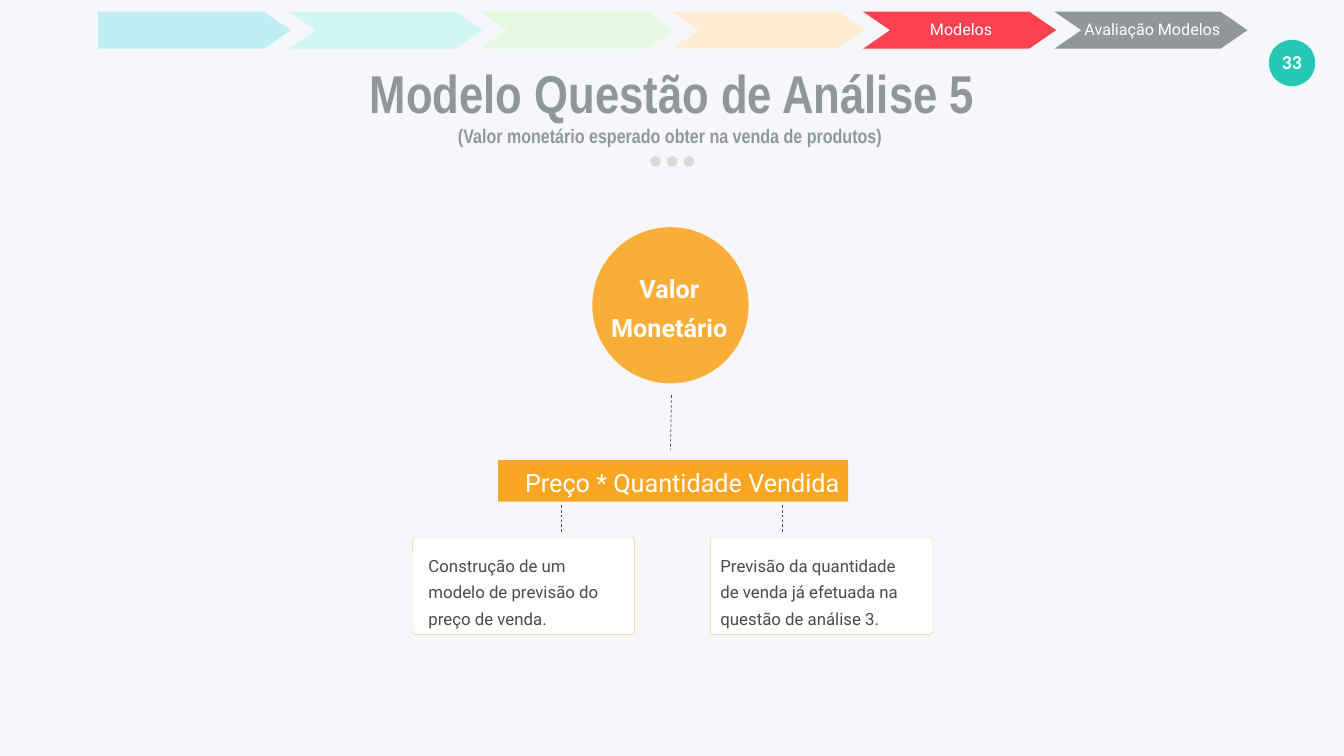
from dataclasses import dataclass

from lxml import etree
from pptx import Presentation
from pptx.dml.color import RGBColor
from pptx.enum.dml import MSO_LINE
from pptx.enum.shapes import MSO_CONNECTOR, MSO_SHAPE
from pptx.enum.text import MSO_ANCHOR, PP_ALIGN
from pptx.oxml.ns import qn
from pptx.util import Pt

LEFT, CENTER = PP_ALIGN.LEFT, PP_ALIGN.CENTER
TOP, MIDDLE = MSO_ANCHOR.TOP, MSO_ANCHOR.MIDDLE
OVAL, ROUNDED, RECTANGLE = MSO_SHAPE.OVAL, MSO_SHAPE.ROUNDED_RECTANGLE, MSO_SHAPE.RECTANGLE
STRAIGHT, DASH = MSO_CONNECTOR.STRAIGHT, MSO_LINE.DASH


@dataclass(frozen=True)
class Theme:
    background: str = "F6F7FA"
    white: str = "FFFFFF"
    teal: str = "25C8B4"
    orange: str = "FBA622"
    red: str = "F94151"
    gray: str = "91969B"
    dark: str = "474B4F"
    dot: str = "D9D9D9"
    faded_steps: tuple = ("BEEEF4", "D1F6F2", "E6F8E0", "FEEDD3")
    body_font: str = "Roboto"
    title_font: str = "Arial Narrow"
    number_font: str = "Calibri"
    title_size: int = 76
    subtitle_size: int = 28
    number_size: int = 28
    label_size: int = 36
    body_size: int = 24
    step_size: int = 23


THEME = Theme()

STEPS = [("", fill) for fill in THEME.faded_steps] + [
    ("Modelos", THEME.red),
    ("Avaliação Modelos", THEME.gray),
]

CARDS = [
    (589, 597.6, 299, "Construção de um modelo de previsão do preço de venda."),
    (1014.5, 1014.5, 307.5,
     "Previsão da quantidade de venda já efetuada na questão de análise 3."),
]

CONNECTORS = [
    (959, 564.5, 957.6, 642.2),
    (801.4, 721.4, 801.4, 762.5),
    (1117.4, 721.4, 1117.4, 762.5),
]


def color(value):
    return RGBColor.from_string(value)


def paint(shape, fill, line=None, opacity=None):
    shape.shadow.inherit = False
    shape.fill.solid()
    shape.fill.fore_color.rgb = color(fill)
    if opacity:
        tone = shape.fill._xPr.find(".//" + qn("a:srgbClr"))
        etree.SubElement(tone, qn("a:alpha"), val=str(opacity * 1000))
    if line:
        shape.line.color.rgb = color(line)
        shape.line.width = Pt(0.25)
    else:
        shape.line.fill.background()


def write(shape, lines, size, font=THEME.body_font, ink=THEME.white, bold=False,
          align=CENTER, anchor=TOP, spacing=1.0, insets=(14.4, 7.2, 14.4, 7.2)):
    frame = shape.text_frame
    frame.word_wrap = True
    frame.vertical_anchor = anchor
    (frame.margin_left, frame.margin_top,
     frame.margin_right, frame.margin_bottom) = map(Pt, insets)
    sizes = size if isinstance(size, tuple) else (size,) * len(lines)
    for index, (line, points) in enumerate(zip(lines, sizes)):
        para = frame.paragraphs[0] if index == 0 else frame.add_paragraph()
        para.alignment = align
        para.line_spacing = spacing
        span = para.add_run()
        span.text = line
        span.font.name = font
        span.font.size = Pt(points)
        span.font.bold = bold
        span.font.color.rgb = color(ink)


def add_text(page, left, top, width, height, lines, size, **style):
    box = page.shapes.add_textbox(*map(Pt, (left, top, width, height)))
    write(box, lines, size, **style)


def add_block(page, kind, left, top, width, height, fill, **style):
    block = page.shapes.add_shape(kind, *map(Pt, (left, top, width, height)))
    paint(block, fill, **style)
    return block


def add_dashed_line(page, *ends):
    connector = page.shapes.add_connector(STRAIGHT, *map(Pt, ends))
    connector.line.color.rgb = color(THEME.dark)
    connector.line.width = Pt(1)
    connector.line.dash_style = DASH
    etree.SubElement(connector._element.spPr, qn("a:effectLst"))


def add_step(page, index, label, fill):
    left, top, width, height, point = 139.9 + 273.2 * index, 16.7, 275.8, 52.8, 38.5
    right, middle, bottom = left + width, top + height / 2, top + height
    corners = [(right - point, top), (right, middle), (right - point, bottom), (left, bottom)]
    if index > 0:
        corners.append((left + point, middle))
    builder = page.shapes.build_freeform(Pt(left), Pt(top))
    builder.add_line_segments([(Pt(x), Pt(y)) for x, y in corners], close=True)
    step = builder.convert_to_shape()
    paint(step, fill)
    if label:
        write(step, [label], THEME.step_size, anchor=MIDDLE, spacing=0.9,
              insets=(41, 5, 36.7, 5))


def add_card(page, left, text_left, text_width, text):
    card = add_block(page, ROUNDED, left, 767.7, 317.5, 138.4, THEME.white, line=THEME.orange)
    card.adjustments[0] = 0.027
    add_text(page, text_left, 778.3, text_width, 128, [text], THEME.body_size,
             ink=THEME.dark, align=LEFT, spacing=1.3)


def add_heading(page):
    add_text(page, 486.4, 85, 946.8, 126,
             ["Modelo Questão de Análise 5",
              "(Valor monetário esperado obter na venda de produtos) "],
             (THEME.title_size, THEME.subtitle_size), font=THEME.title_font,
             ink=THEME.gray, bold=True, anchor=MIDDLE, insets=(0, 0, 0, 0))
    for index in range(3):
        add_block(page, OVAL, 928.8 + 23.8 * index, 223.2, 15, 15, THEME.dot)


def add_page_number(page):
    add_block(page, OVAL, 1812.2, 56.9, 66.2, 66.2, THEME.teal)
    add_text(page, 1813.7, 64.8, 62.6, 48.2, ["33"], THEME.number_size,
             font=THEME.number_font, bold=True)


def add_formula(page):
    add_block(page, OVAL, 846, 324.5, 223.2, 223.2, THEME.orange, opacity=90)
    add_text(page, 844.6, 370, 222.5, 128, ["Valor", "Monetário"], THEME.label_size,
             bold=True, spacing=1.3)
    add_block(page, RECTANGLE, 711.4, 657.4, 500, 59.4, THEME.orange)
    add_text(page, 711.7, 647.3, 525.6, 71.3, ["Preço * Quantidade Vendida"],
             THEME.label_size, spacing=1.3)


def main():
    deck = Presentation()
    deck.slide_width, deck.slide_height = Pt(1919.52), Pt(1080)
    page = deck.slides.add_slide(deck.slide_layouts[6])
    page.background.fill.solid()
    page.background.fill.fore_color.rgb = color(THEME.background)
    add_page_number(page)
    for index, (label, fill) in enumerate(STEPS):
        add_step(page, index, label, fill)
    add_heading(page)
    add_formula(page)
    for ends in CONNECTORS:
        add_dashed_line(page, *ends)
    for card in CARDS:
        add_card(page, *card)
    deck.save("out.pptx")


if __name__ == "__main__":
    main()
